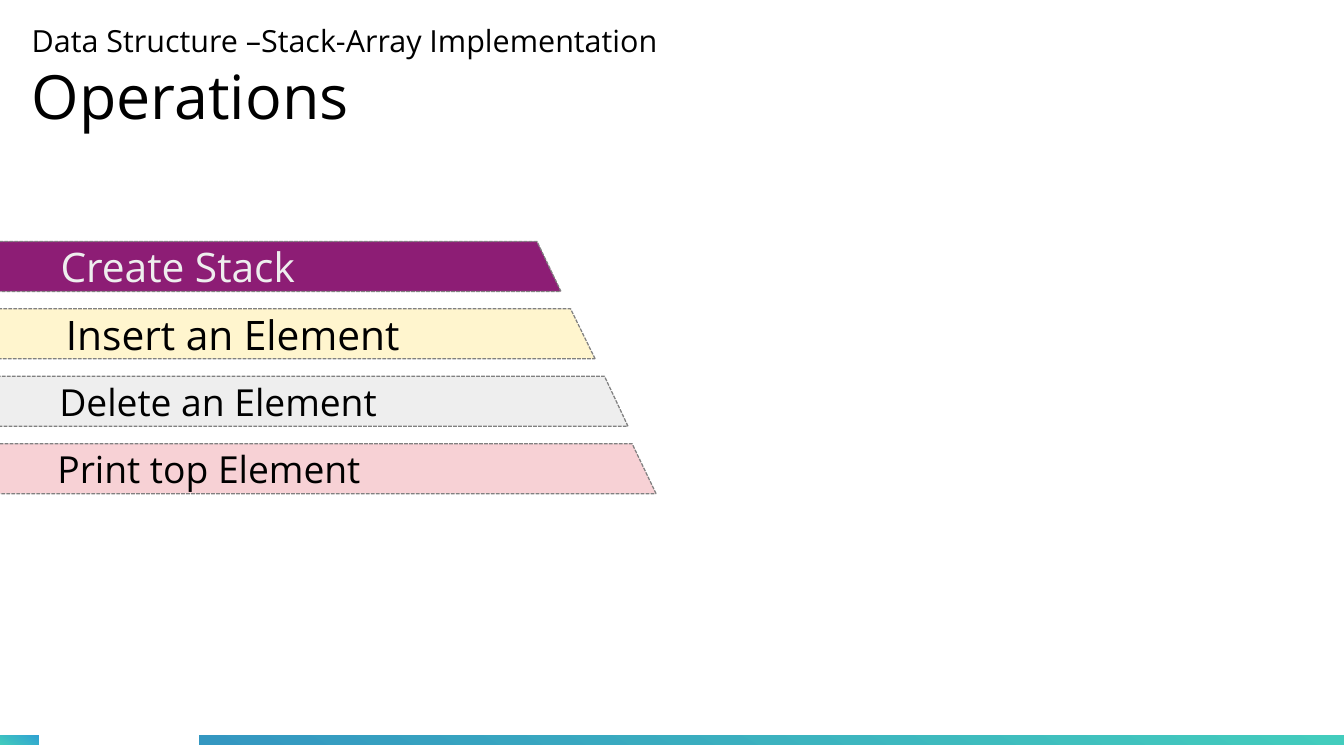
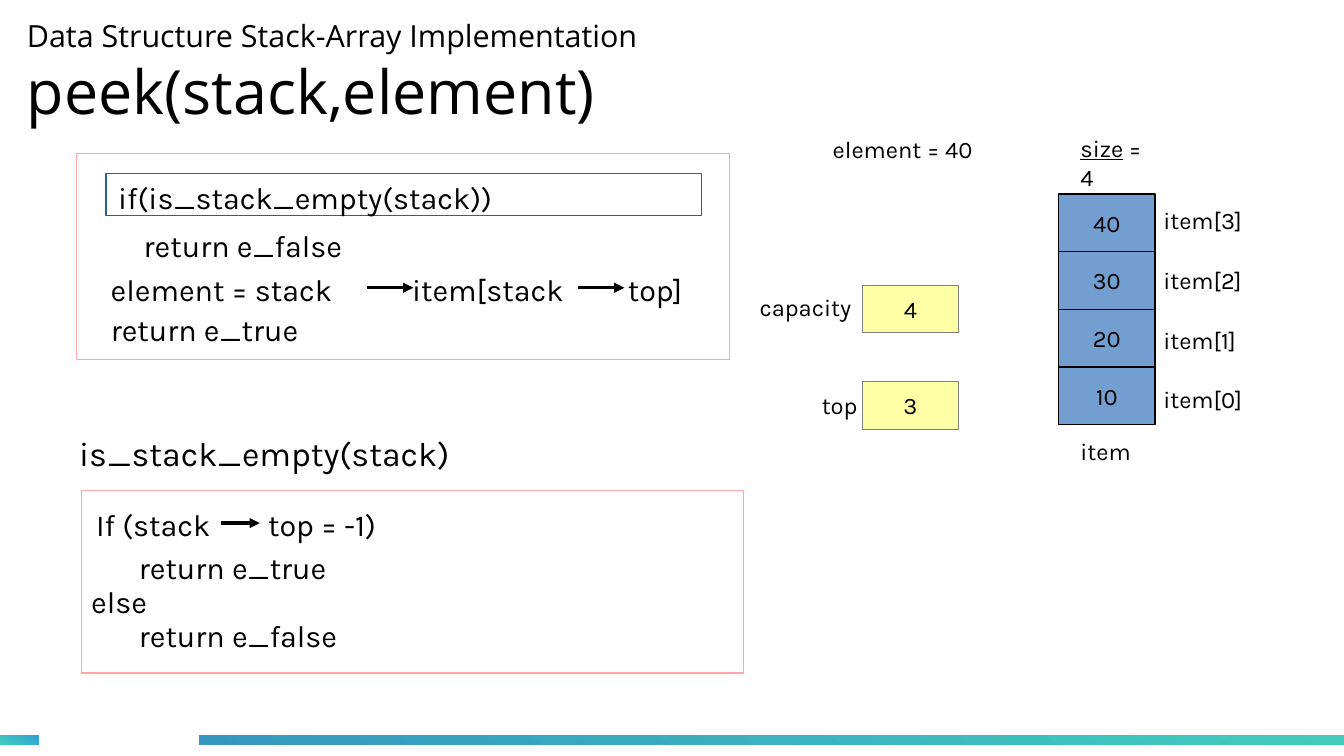
from lxml import etree
from pptx import Presentation
from pptx import util as u
from pptx.dml.color import RGBColor
from pptx.enum import dml, shapes, text
from pptx.oxml.ns import qn

WIDTH, HEIGHT = 11.02, 6.2
BLACK, WHITE, GREY, ROSE = "000000", "FFFFFF", "808080", "FFA6A6"
YELLOW, BLUE, NAVY = "FFFFA6", "729FCF", "2A6099"
TITLE_FONT, BODY_FONT = "Open Sans", "Karla"

# Footer bands: left, width, gradient from left to right
BANDS = [(0, 0.32, ("43CCBD", "30A2D2")), (1.63, 9.39, ("3497C1", "43CCBD"))]

# Operations: wording, left, width, slant, fill, text colour, size, text inset
OPERATIONS = [
    ("Create Stack", -0.26, 4.86, 0.48, "8D1D75", "EEEEEE", 24, 0.27),
    ("Insert an Element", -0.24, 5.12, 0.49, "FFF5CE", BLACK, 24, 0.27),
    ("Delete an Element", -0.22, 5.37, 0.47, "EEEEEE", BLACK, 22, 0.18),
    ("Print top Element", -0.26, 5.64, 0.48, "F7D1D5", BLACK, 22, 0.18),
]
OPERATION_TOP, OPERATION_STEP, OPERATION_HEIGHT = 1.98, 0.553, 0.41

# Code panels: left, top, width, height, line colour
PANELS = [
    (0.63, 1.26, 5.35, 1.69, ROSE),
    (0.87, 1.42, 4.88, 0.35, NAVY),
    (0.67, 4.02, 5.43, 1.5, ROSE),
]
# Labels: wording, left, top, size
LABELS = [
    ("if(is_stack_empty(stack))", 0.87, 1.42, 18),
    ("return e_false", 1.08, 1.81, 18),
    ("element = stack", 0.81, 2.17, 18),
    ("item[stack", 3.28, 2.17, 18),
    ("top]", 5.05, 2.17, 18),
    ("return e_true", 0.81, 2.5, 18),
    ("is_stack_empty(stack)", 0.55, 3.5, 20),
    ("If (stack", 0.69, 4.1, 18),
    ("top = -1)", 2.1, 4.1, 18),
    ("return e_true", 1.04, 4.45, 18),
    ("else", 0.65, 4.73, 18),
    ("return e_false", 1.04, 5.01, 18),
    ("element = 40", 6.73, 1.06, 14),
    ("capacity", 6.13, 2.35, 14),
    ("top", 6.64, 3.16, 14),
    ("item", 8.76, 3.53, 14),
]
ARROWS = [(3.01, 3.39, 2.36), (4.74, 5.12, 2.36), (1.81, 2.13, 4.29)]  # from, to, height
STACK = ["40", "30", "20", "10"]
FIELDS = [("4", 2.34), ("3", 3.13)]
CELL_WIDTH, CELL_HEIGHT, FIELD_HEIGHT = 0.79, 0.473, 0.39
STACK_LEFT, STACK_TOP, FIELD_LEFT = 8.68, 1.59, 7.07


def rgb(value):
    return RGBColor.from_string(value)


def set_font(font, name, size, colour=BLACK):
    font.name, font.size, font.color.rgb = name, u.Pt(size), rgb(colour)


def add_box(page, left, top, width, height, fill=None, line=None,
            kind=shapes.MSO_SHAPE.RECTANGLE):
    box = page.shapes.add_shape(kind, *map(u.Inches, (left, top, width, height)))
    box.shadow.inherit = False
    if fill:
        box.fill.solid()
        box.fill.fore_color.rgb = rgb(fill)
    if line:
        box.line.color.rgb = rgb(line)
        box.line.width = 0
    else:
        box.line.fill.background()
    return box


def write(box, wording, name, size, colour=BLACK, align=text.PP_ALIGN.CENTER):
    para = box.text_frame.paragraphs[0]
    para.text, para.alignment = wording, align
    set_font(para.font, name, size, colour)
    return para


def add_label(page, wording, left, top, size):
    width, height = 0.3 + len(wording) * size * 0.009, 0.1 + size * 0.019
    box = page.shapes.add_textbox(*map(u.Inches, (left, top, width, height)))
    box.text_frame.word_wrap = False
    return write(box, wording, BODY_FONT, size, align=text.PP_ALIGN.LEFT)


def add_cell(page, wording, left, top, height, fill, line):
    cell = add_box(page, left, top, CELL_WIDTH, height, fill, line)
    cell.text_frame.vertical_anchor = text.MSO_ANCHOR.MIDDLE
    write(cell, wording, BODY_FONT, 14)


def add_arrow(page, start, end, level):
    arrow = page.shapes.add_connector(
        shapes.MSO_CONNECTOR.STRAIGHT, *map(u.Inches, (start, level, end, level)))
    arrow.line.color.rgb = rgb(BLACK)
    arrow.line.width = 0
    etree.SubElement(arrow.line._get_or_add_ln(), qn("a:tailEnd"), type="triangle")
    etree.SubElement(arrow._element.spPr, qn("a:effectLst"))


def add_page(deck, topic, heading, left, top):
    """A page with the footer bands and the two-line title."""
    page = deck.slides.add_slide(deck.slide_layouts[6])
    for band_left, width, colours in BANDS:
        band = add_box(page, band_left, 6.03, width, 0.08)
        band.fill.gradient()
        band.fill.gradient_angle = 60
        for stop, colour, position in zip(band.fill.gradient_stops, colours, (0, 1)):
            stop.color.rgb, stop.position = rgb(colour), position
    box = page.shapes.add_textbox(*map(u.Inches, (left, top, 7.68, 1.02)))
    frame = box.text_frame
    frame.word_wrap, frame.vertical_anchor = True, text.MSO_ANCHOR.MIDDLE
    frame.margin_left = frame.margin_right = frame.margin_top = frame.margin_bottom = 0
    write(box, topic, TITLE_FONT, 18, align=text.PP_ALIGN.LEFT)
    para = frame.add_paragraph()
    para.text = heading
    set_font(para.font, TITLE_FONT, 36)
    return page


def build_operations(deck):
    page = add_page(deck, "Data Structure –Stack-Array Implementation", "Operations", 0.26, 0.12)
    for row, (wording, left, width, slant, fill, colour, size, inset) in enumerate(OPERATIONS):
        bar = add_box(page, left, OPERATION_TOP + row * OPERATION_STEP, width,
                      OPERATION_HEIGHT, fill, GREY, shapes.MSO_SHAPE.PARALLELOGRAM)
        bar.adjustments[0] = slant
        bar.line.dash_style = dml.MSO_LINE.SQUARE_DOT
        bar._element.spPr.find(qn("a:xfrm")).set("flipH", "1")
        bar.text_frame.margin_left = u.Inches(inset)
        bar.text_frame.vertical_anchor = text.MSO_ANCHOR.MIDDLE
        write(bar, wording, TITLE_FONT, size, colour, text.PP_ALIGN.LEFT)


def build_peek(deck):
    page = add_page(deck, "Data Structure Stack-Array Implementation", "peek(stack,element)", 0.22, 0.08)
    for left, top, width, height, line in PANELS:
        add_box(page, left, top, width, height, WHITE, line)
    for label in LABELS:
        add_label(page, *label)
    for arrow in ARROWS:
        add_arrow(page, *arrow)

    # Stack fields and the item array, last item on top
    for value, top in FIELDS:
        add_cell(page, value, FIELD_LEFT, top, FIELD_HEIGHT, YELLOW, GREY)
    for row, value in enumerate(STACK):
        add_cell(page, value, STACK_LEFT, STACK_TOP + row * CELL_HEIGHT, CELL_HEIGHT, BLUE, BLACK)
        add_label(page, f"item[{len(STACK) - 1 - row}]", 9.44, 1.64 + row * 0.49, 14)

    size_para = add_label(page, "size", 8.76, 1.05, 14)
    size_para.runs[0].font.underline = True
    size_para.add_run().text = f" = {len(STACK)}"


def main():
    deck = Presentation()
    deck.slide_width, deck.slide_height = u.Inches(WIDTH), u.Inches(HEIGHT)
    build_operations(deck)
    build_peek(deck)
    deck.save("out.pptx")


if __name__ == "__main__":
    main()
